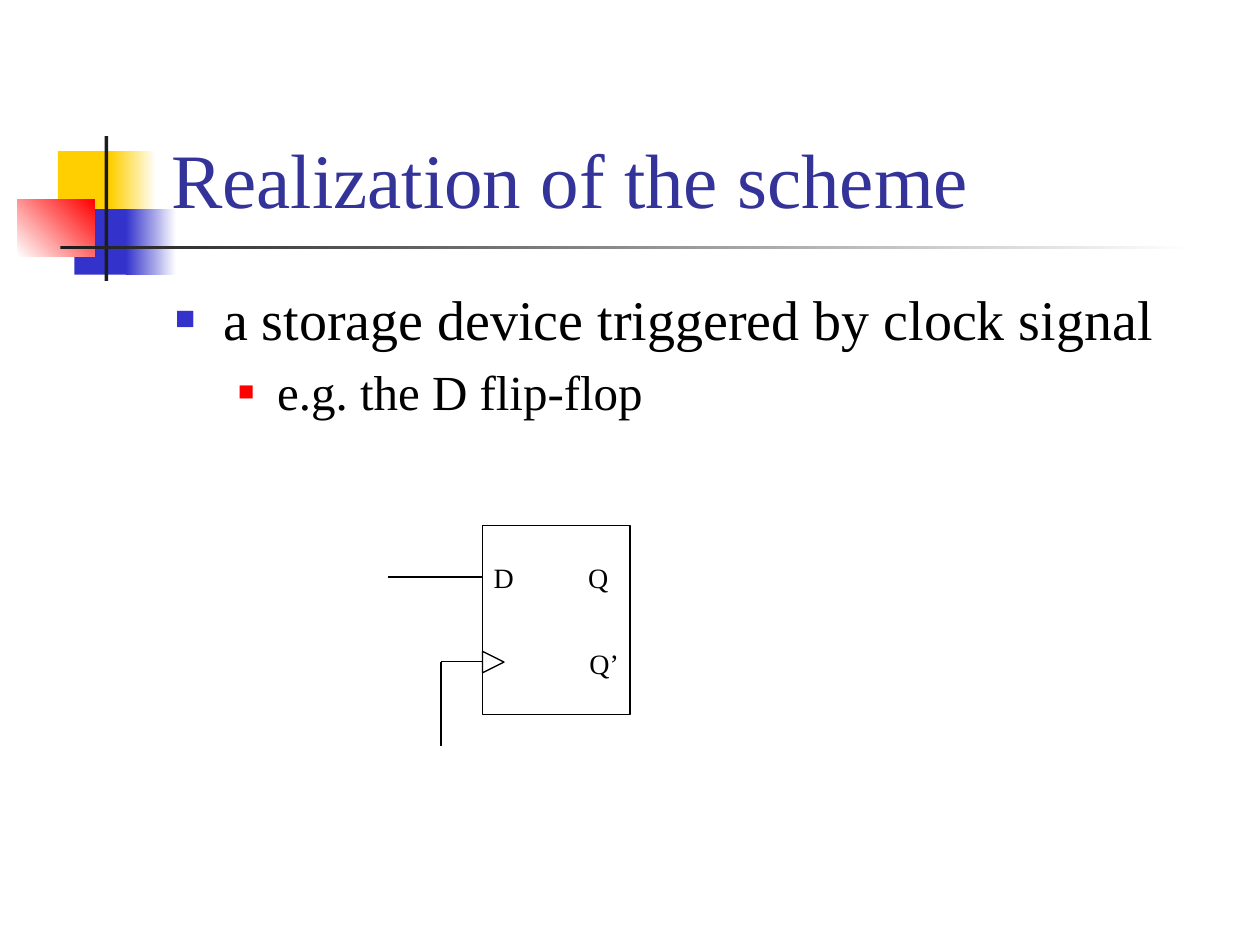
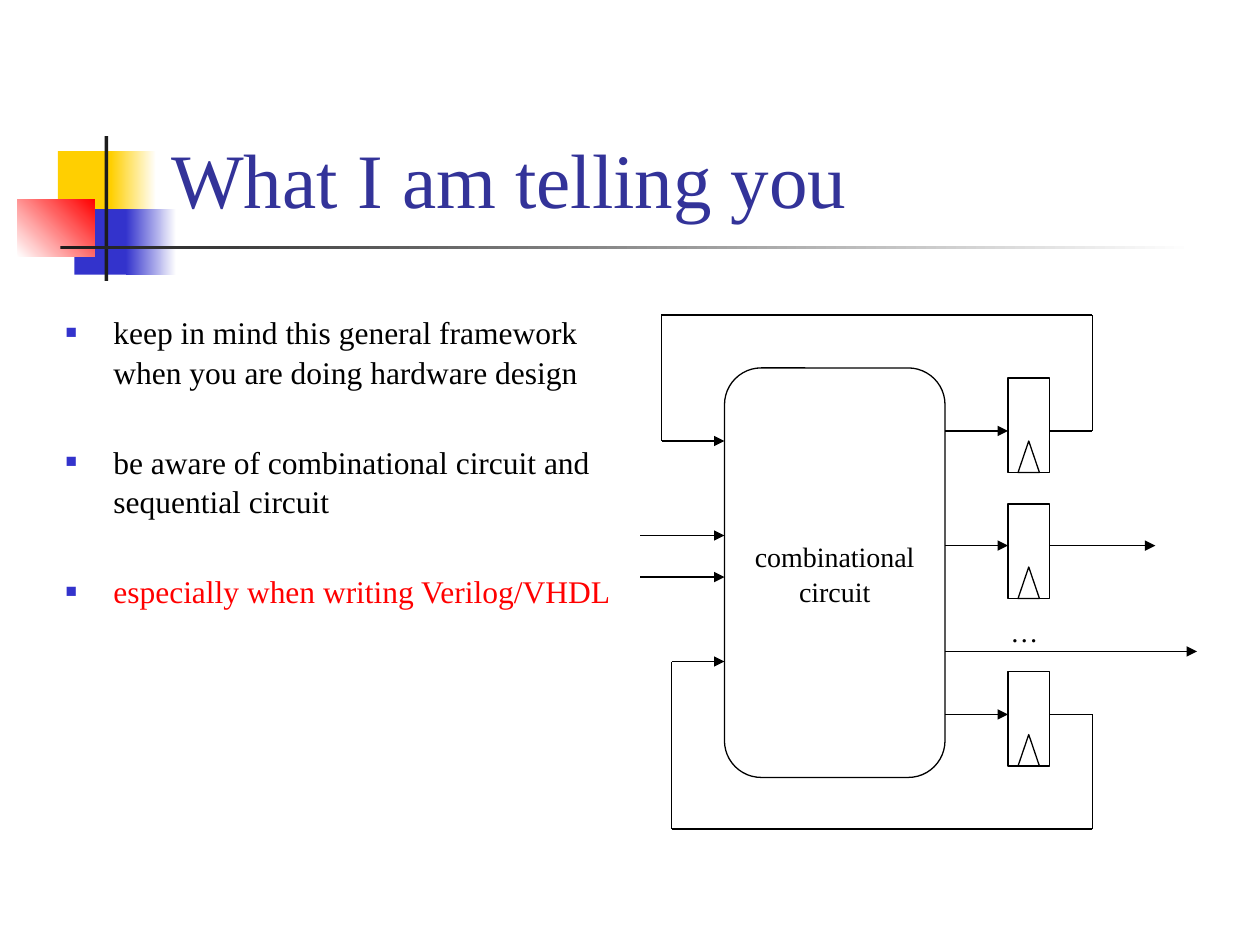
from lxml import etree
from pptx import Presentation
from pptx.dml.color import RGBColor
from pptx.enum.shapes import MSO_CONNECTOR, MSO_SHAPE
from pptx.enum.text import MSO_ANCHOR, MSO_AUTO_SIZE, PP_ALIGN
from pptx.oxml.ns import qn
from pptx.util import Inches, Pt

RECTANGLE = MSO_SHAPE.RECTANGLE
ROUNDED = MSO_SHAPE.ROUNDED_RECTANGLE
TRIANGLE = MSO_SHAPE.ISOSCELES_TRIANGLE
STRAIGHT = MSO_CONNECTOR.STRAIGHT
TOP, MIDDLE, BOTTOM = MSO_ANCHOR.TOP, MSO_ANCHOR.MIDDLE, MSO_ANCHOR.BOTTOM
LEFT, CENTER = PP_ALIGN.LEFT, PP_ALIGN.CENTER
NO_AUTOSIZE = MSO_AUTO_SIZE.NONE

BLACK = RGBColor(0x00, 0x00, 0x00)
WHITE = RGBColor(0xFF, 0xFF, 0xFF)
CHARCOAL = RGBColor(0x1C, 0x1C, 0x1C)
YELLOW = RGBColor(0xFF, 0xCF, 0x01)
BLUE = RGBColor(0x33, 0x33, 0xCC)
RED = RGBColor(0xFF, 0x00, 0x00)
TITLE_BLUE = RGBColor(0x33, 0x33, 0x99)

FONT = "Times New Roman"
LINE_WIDTH = Pt(0.75)
DIAGRAM_SIZE = 16
LINE_SPACING = 1.05
TITLE_BOX = (1.26, 0.23, 8.52, 1.6)
DECORATION = [
    ((0.46, 1.2, 0.48, 0.52), (YELLOW,), 0),
    ((0.88, 1.2, 0.36, 0.52), (YELLOW, WHITE), 0),
    ((0.59, 1.66, 0.46, 0.52), (BLUE,), 0),
    ((1, 1.66, 0.4, 0.52), (BLUE, WHITE), 0),
    ((0.14, 1.58, 0.61, 0.46), (WHITE, RED), 45),
    ((0.83, 1.08, 0.03, 1.15), (CHARCOAL,), 0),
    ((0.48, 1.95, 9, 0.03), (CHARCOAL, WHITE), 0),
]
LEVELS = [
    {"margin": 0.38, "indent": -0.38, "color": BLUE, "percent": 60},
    {"margin": 0.81, "indent": -0.31, "color": RED, "percent": 55},
]


class Deck:
    def __init__(self):
        self.presentation = Presentation()
        self.presentation.slide_width = Inches(10)
        self.presentation.slide_height = Inches(7.5)
        self.slide = None

    def start_slide(self, title):
        layout = self.presentation.slide_layouts[1]
        self.slide = self.presentation.slides.add_slide(layout)
        for box, colors, angle in DECORATION:
            self.block(box, colors, angle)
        frame = self.place(self.slide.shapes.title, TITLE_BOX, BOTTOM)
        frame.text = title
        paragraph = frame.paragraphs[0]
        paragraph.alignment = LEFT
        self.set_font(paragraph, 44, TITLE_BLUE)

    def place(self, placeholder, box, anchor):
        placeholder.left, placeholder.top, placeholder.width, placeholder.height = map(Inches, box)
        placeholder.element.getparent().append(placeholder.element)
        frame = placeholder.text_frame
        frame.auto_size = NO_AUTOSIZE
        frame.vertical_anchor = anchor
        return frame

    def set_font(self, paragraph, size, color=BLACK):
        paragraph.font.name = FONT
        paragraph.font.size = Pt(size)
        paragraph.font.color.rgb = color

    def block(self, box, colors, angle):
        shape = self.slide.shapes.add_shape(RECTANGLE, *map(Inches, box))
        shape.shadow.inherit = False
        shape.line.fill.background()
        if len(colors) == 1:
            shape.fill.solid()
            shape.fill.fore_color.rgb = colors[0]
            return
        shape.fill.gradient()
        shape.fill.gradient_angle = angle
        for stop, color in zip(shape.fill.gradient_stops, colors):
            stop.color.rgb = color

    def bullets(self, box, items, line_spacing=1.0):
        frame = self.place(self.slide.placeholders[1], box, TOP)
        for index, (text, level, size, color, space_before) in enumerate(items):
            paragraph = frame.add_paragraph() if index else frame.paragraphs[0]
            paragraph.text = text
            paragraph.level = level
            paragraph.space_before = Pt(space_before)
            paragraph.line_spacing = line_spacing
            self.bullet(paragraph, **LEVELS[level])
            self.set_font(paragraph, size, color)

    def bullet(self, paragraph, margin, indent, color, percent):
        properties = paragraph._p.get_or_add_pPr()
        properties.set("marL", str(Inches(margin)))
        properties.set("indent", str(Inches(indent)))
        bullet_color = etree.SubElement(properties, qn("a:buClr"))
        etree.SubElement(bullet_color, qn("a:srgbClr"), val=str(color))
        etree.SubElement(properties, qn("a:buSzPct"), val=str(percent * 1000))
        etree.SubElement(properties, qn("a:buFont"), typeface=FONT)
        etree.SubElement(properties, qn("a:buChar"), char="■")

    def outline(self, kind, box, rotation=0):
        shape = self.slide.shapes.add_shape(kind, *map(Inches, box))
        shape.shadow.inherit = False
        shape.fill.background()
        shape.line.color.rgb = BLACK
        shape.line.width = LINE_WIDTH
        shape.rotation = rotation
        return shape

    def set_text(self, shape, text, alignment, anchor, line_spacing=1.0):
        frame = shape.text_frame
        frame.text = text
        frame.word_wrap = False
        frame.vertical_anchor = anchor
        for paragraph in frame.paragraphs:
            paragraph.alignment = alignment
            paragraph.line_spacing = line_spacing
            self.set_font(paragraph, DIAGRAM_SIZE)

    def label(self, text, left, top, width):
        shape = self.slide.shapes.add_textbox(*map(Inches, (left, top, width, 0.37)))
        self.set_text(shape, text, LEFT, TOP)

    def wire(self, *points, arrow=False):
        for start, end in zip(points, points[1:]):
            connector = self.slide.shapes.add_connector(STRAIGHT, *map(Inches, start + end))
            connector.line.color.rgb = BLACK
            connector.line.width = LINE_WIDTH
            etree.SubElement(connector.element.spPr, qn("a:effectLst"))
        if arrow:
            line = connector.element.spPr.find(qn("a:ln"))
            etree.SubElement(line, qn("a:tailEnd"), type="triangle")

    def register(self, top):
        self.outline(RECTANGLE, (8, top, 0.33, 0.75))
        self.outline(TRIANGLE, (8.08, top + 0.5, 0.17, 0.25))


def build_flip_flop_slide(deck):
    deck.start_slide("Realization of the scheme")
    deck.bullets((1.29, 2.21, 8.5, 1.29), [
        ("a storage device triggered by clock signal", 0, 32, BLACK, 6.4),
        ("e.g. the D flip-flop", 1, 28, BLACK, 5.6),
    ])
    deck.outline(RECTANGLE, (3.83, 4.17, 1.17, 1.5))
    deck.outline(TRIANGLE, (3.83, 5.17, 0.17, 0.17), rotation=90)
    deck.label("D", 3.82, 4.4, 0.36)
    deck.label("Q", 4.57, 4.4, 0.36)
    deck.label("Q’", 4.58, 5.08, 0.44)
    deck.wire((3.83, 4.58), (3.08, 4.58))
    deck.wire((3.83, 5.25), (3.5, 5.25), (3.5, 5.92))


def build_framework_slide(deck):
    deck.start_slide("What I am telling you")
    deck.bullets((0.42, 2.42, 4.58, 4.5), [
        ("keep in mind this general framework when you are doing hardware design", 0, 18, BLACK, 3.6),
        ("be aware of combinational circuit and sequential circuit", 0, 18, BLACK, 28.6),
        ("especially when writing Verilog/VHDL", 0, 18, RED, 28.6),
    ], LINE_SPACING)
    circuit = deck.outline(ROUNDED, (5.75, 2.92, 1.75, 3.25))
    deck.set_text(circuit, "combinational\ncircuit", CENTER, MIDDLE, LINE_SPACING)
    for top in (3, 4, 5.33):
        deck.register(top)
    deck.label("…", 7.92, 4.83, 0.42)
    for y in (3.42, 4.33, 5.67):
        deck.wire((7.5, y), (8, y), arrow=True)
    for register_y, outer_y, left, input_y in ((3.42, 2.5, 5.25, 3.5), (5.67, 6.58, 5.33, 5.25)):
        deck.wire((8.33, register_y), (8.67, register_y), (8.67, outer_y),
                  (left, outer_y), (left, input_y), (5.75, input_y), arrow=True)
    for start, end, y in ((8.33, 9.17, 4.33), (7.5, 9.5, 5.17), (5.08, 5.75, 4.25), (5.08, 5.75, 4.58)):
        deck.wire((start, y), (end, y), arrow=True)


def main():
    deck = Deck()
    build_flip_flop_slide(deck)
    build_framework_slide(deck)
    deck.presentation.save("out.pptx")


if __name__ == "__main__":
    main()
